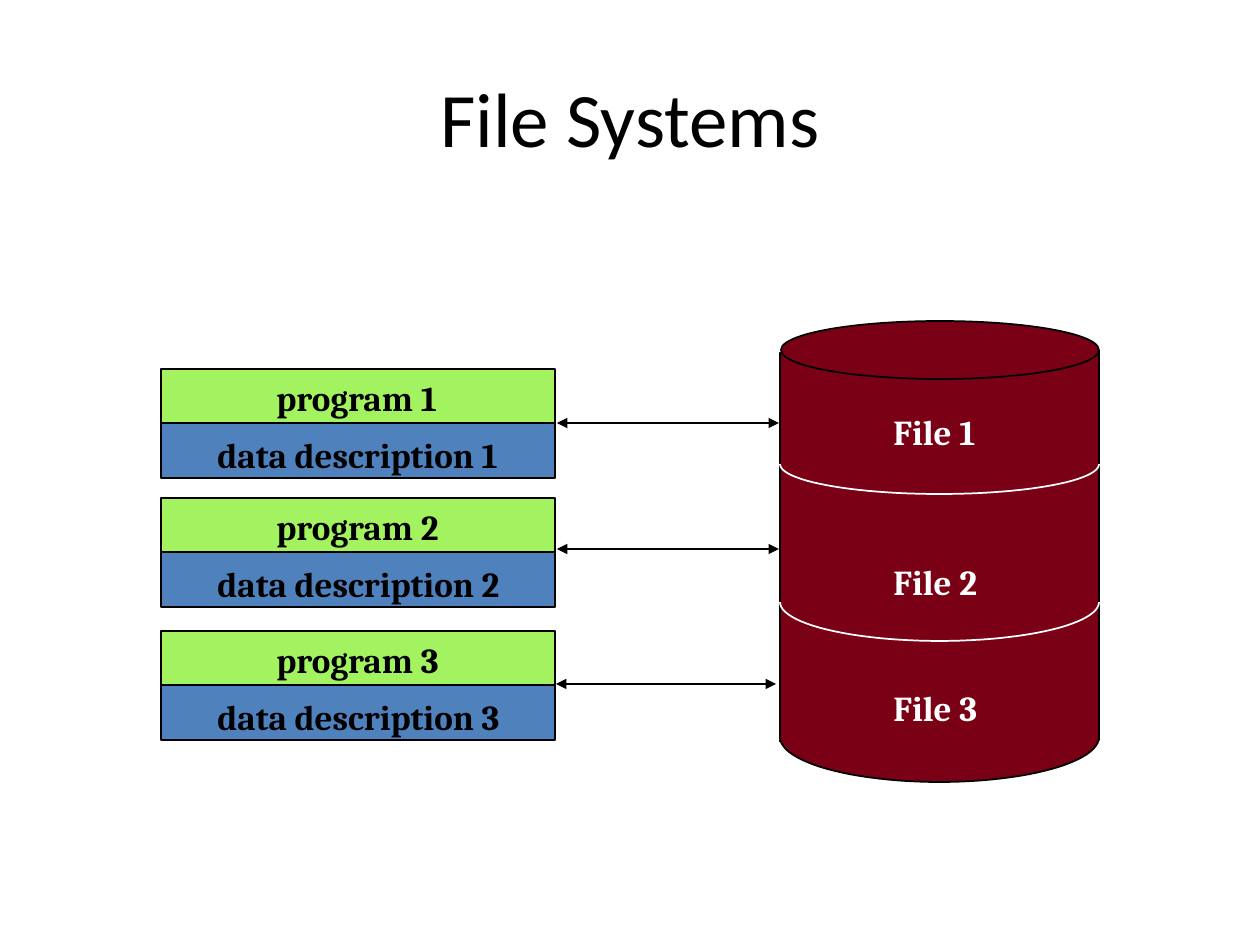
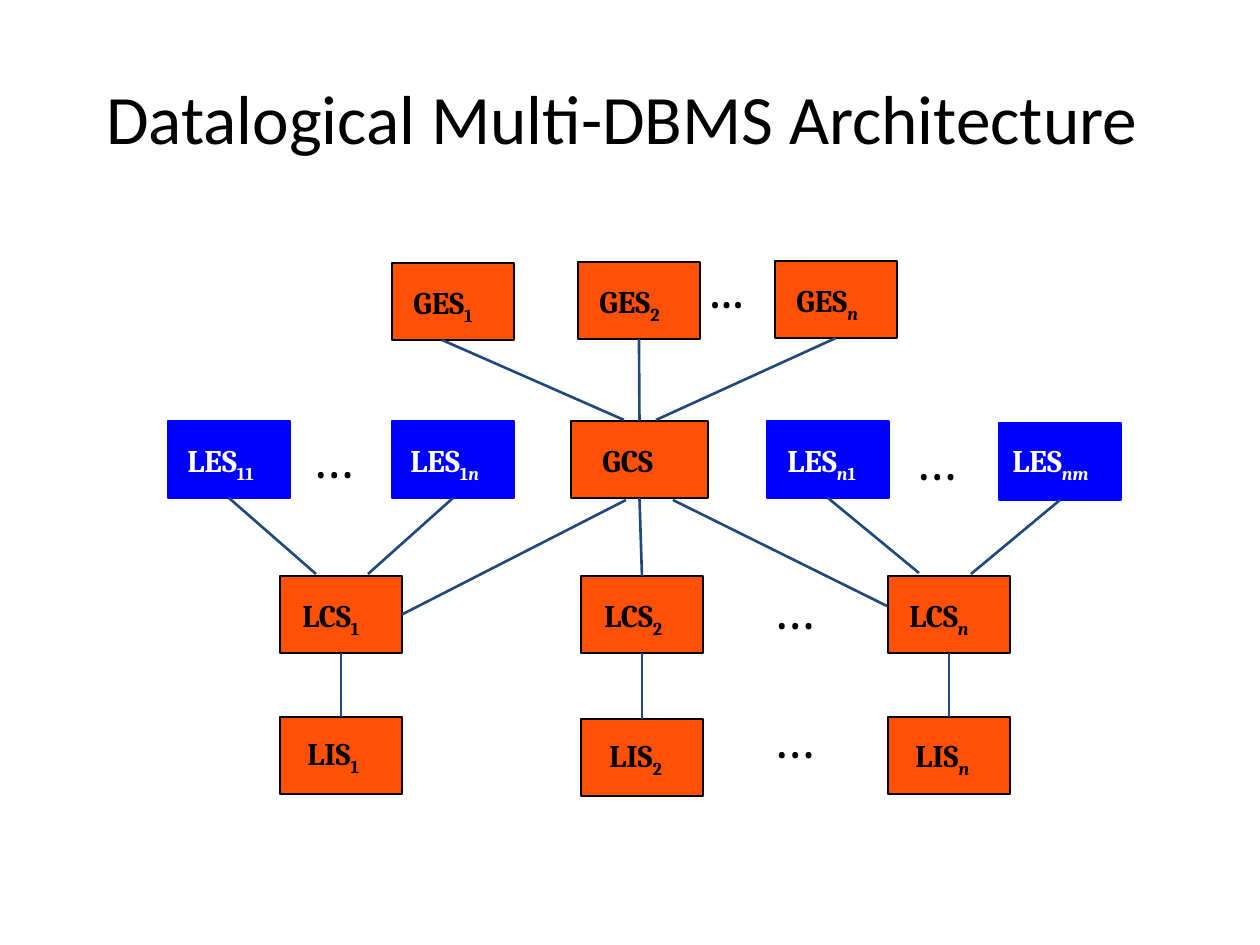
"""Build two slides on file systems and multi-database schemas."""
import itertools
import math

import lxml.etree
import pptx
import pptx.dml.color
import pptx.enum.shapes
import pptx.enum.text
import pptx.oxml.ns
import pptx.util

SCALE = 914400 / 126
HUES = {"ink": "000000", "paper": "FFFFFF", "lime": "A3F25F", "steel": "4F81BD",
        "wine": "790015", "flame": "FF5008", "blue": "0000FF", "navy": "1F497D"}
HEAD = {"size": 44, "name": "Calibri"}
BOLD = {"size": 20, "name": "Cambria", "bold": True}
TAG = {**BOLD, "size": 18}
DOTS = {"size": 32, "name": "Cambria"}
TITLE = (63, 38, 1134, 157)

PAIRS = [("program 1", "data description 1", 369),
         ("program 2", "data description 2", 498),
         ("program 3", "data description 3", 631)]
PARTS = [("lime", 0, 103, -3, 189, 58, 1.1), ("steel", 54, 44, 4, 311, 54, None)]
PAIR = {"left": 161, "wide": 394, "high": 55}
ARROWS = [(557, 779, 423), (557, 779, 549), (556, 776, 684)]
DRUM = {"left": 780, "right": 1099, "top": 353, "base": 740}
LID = (781, 321, 318, 58)
SIDES = [(1099, 350, 740), (780, 353, 742)]
RIMS = [(737, 45, "ink"), (464, 30, "paper"), (602, 39, "paper")]
FILES = [("File 1", 404), ("File 2", 554), ("File 3", 680)]

NODES = [("GES", "1", 392, 263, 9, 14, 103), ("GES", "2", 578, 262, 9, 14, 103),
         ("GES", "n", 775, 261, 9, 14, 106), ("GCS", "", 571, 421, 19, 14, 95),
         ("LES", "11", 168, 421, 7, 14, 105), ("LES", "1n", 392, 421, 6, 14, 110),
         ("LES", "n1", 767, 421, 8, 14, 107), ("LES", "nm", 999, 423, 1, 12, 118),
         ("LCS", "1", 280, 576, 10, 14, 101), ("LCS", "2", 581, 576, 11, 14, 101),
         ("LCS", "n", 888, 576, 9, 14, 102), ("LIS", "1", 280, 717, 15, 11, 89),
         ("LIS", "2", 581, 719, 16, 11, 89), ("LIS", "n", 888, 717, 15, 13, 92)]
WIDE, HIGH = 122, 77
LINKS = [((442, 340), (624, 420)), (("GES2", 2), ("GCS", 0)),
         (("GESn", 2), (656, 420)), ((626, 500), ("LCS1", 3)),
         ((673, 500), (887, 606)), (("GCS", 2), ("LCS2", 0)),
         (("LCS1", 2), ("LIS1", 0)), (("LCS2", 2), ("LIS2", 0)),
         (("LCSn", 2), ("LISn", 0)), (("LES11", 2), (316, 574)),
         (("LESn1", 2), (919, 573)), (("LES1n", 2), (368, 574)),
         (("LESnm", 2), (971, 574))]
GAPS = [("...", 697, 246, 68), ("…", 299, 416, 82), ("…", 902, 418, 82),
        ("…", 760, 567, 82), ("…", 760, 696, 82)]


def px(*nums):
    """Turn px into EMU."""
    return [pptx.util.Emu(round(num * SCALE)) for num in nums]


def hue(name):
    """Look up a colour."""
    return pptx.dml.color.RGBColor.from_string(HUES[name])


def put(item, vals):
    """Set each value on the item."""
    for key, val in vals.items():
        setattr(item, key, val)


def style(run, look, shade="ink"):
    """Format one run."""
    put(run.font, {**look, "size": pptx.util.Pt(look["size"])})
    run.font.color.rgb = hue(shade)


def stroke(line, shade, width=1):
    """Colour and size a line."""
    line.color.rgb = hue(shade)
    line.width = pptx.util.Pt(width)


def paint(shape, fill, edge="ink"):
    """Fill and outline a shape."""
    shape.shadow.inherit = False
    shape.fill.solid()
    shape.fill.fore_color.rgb = hue(fill)
    stroke(shape.line, edge)
    return shape


def block(slide, area, fill, edge="ink", kind="RECTANGLE"):
    """Add a preset shape."""
    kind = getattr(pptx.enum.shapes.MSO_SHAPE, kind)
    return paint(slide.shapes.add_shape(kind, *px(*area)), fill, edge)


def label(slide, area, text, look, shade="ink", sub="", space=None):
    """Add a text box with an optional subscript."""
    frame = slide.shapes.add_textbox(*px(*area)).text_frame
    put(frame, {"word_wrap": False,
                "auto_size": pptx.enum.text.MSO_AUTO_SIZE.SHAPE_TO_FIT_TEXT})
    para = frame.paragraphs[0]
    para.line_spacing = space
    run = para.add_run()
    run.text = text
    style(run, look, shade)
    for slant, chars in itertools.groupby(sub, str.isalpha):
        run = para.add_run()
        run.text = "".join(chars)
        style(run, {**look, "italic": slant}, shade)
        run.font._element.set("baseline", "-25000")


def wire(slide, start, end, shade="ink", width=1, heads=()):
    """Add a straight connector."""
    kind = pptx.enum.shapes.MSO_CONNECTOR.STRAIGHT
    line = slide.shapes.add_connector(kind, *px(*start, *end))
    stroke(line.line, shade, width)
    props, name = line._element.spPr, pptx.oxml.ns.qn
    for head in heads:
        lxml.etree.SubElement(props.find(name("a:ln")), name(head), type="triangle")
    lxml.etree.SubElement(props, name("a:effectLst"))
    return line


def rim(slide, mid, deep, edge):
    """Add the lower half of an ellipse across the drum."""
    half = (DRUM["right"] - DRUM["left"]) / 2
    turns = [math.pi * step / 48 for step in range(49)]
    dots = [px(DRUM["left"] + half * (1 + math.cos(turn)), mid + deep * math.sin(turn))
            for turn in turns]
    form = slide.shapes.build_freeform(*dots[0])
    form.add_line_segments(dots[1:], close=False)
    paint(form.convert_to_shape(), "wine", edge)


def begin(deck, text, size):
    """Add a slide with its title."""
    slide = deck.slides.add_slide(deck.slide_layouts[5])
    title = slide.shapes.title
    put(title, dict(zip(("left", "top", "width", "height"), px(*TITLE))))
    title.text = text
    put(title.text_frame, {"auto_size": pptx.enum.text.MSO_AUTO_SIZE.NONE,
                           "vertical_anchor": pptx.enum.text.MSO_ANCHOR.MIDDLE})
    para = title.text_frame.paragraphs[0]
    para.alignment = pptx.enum.text.PP_ALIGN.CENTER
    style(para.runs[0], {**HEAD, "size": size})
    return slide


def files(deck):
    """Draw programs linked to the file drum."""
    slide = begin(deck, "File Systems", 44)
    for left, right, top in ARROWS:
        wire(slide, (left, top), (right, top), "ink", 1.5, ("a:headEnd", "a:tailEnd"))
    for *names, top in PAIRS:
        for name, (fill, down, dx, dy, wide, high, space) in zip(names, PARTS):
            left, edge = PAIR["left"], top + down
            block(slide, (left, edge, PAIR["wide"], PAIR["high"]), fill)
            label(slide, (left + dx, edge + dy, wide, high), name, BOLD, space=space)
    block(slide, (DRUM["left"], DRUM["top"], DRUM["right"] - DRUM["left"],
                  DRUM["base"] - DRUM["top"]), "wine")
    block(slide, LID, "wine", kind="OVAL")
    for left, top, base in SIDES:
        wire(slide, (left, top), (left, base))
    for mid, deep, edge in RIMS:
        rim(slide, mid, deep, edge)
    for name, top in FILES:
        label(slide, (881, top, 112, 54), name, BOLD, "paper")


def schemas(deck):
    """Draw the schema boxes and their links."""
    slide = begin(deck, "Datalogical Multi-DBMS Architecture ", 39.6)
    boxes = {}
    for name, sub, left, top, dx, dy, wide in NODES:
        local = name == "LES"
        fill, edge, shade = ("blue", "blue", "paper") if local else ("flame", "ink", "ink")
        area = (left, top, 137 if name == "GCS" else WIDE, HIGH)
        boxes[name + sub] = block(slide, area, fill, edge)
        label(slide, (left + dx, top + dy, wide, 52), name, TAG, shade, sub)
    for ends in LINKS:
        spots = [(0, 0) if end[0] in boxes else end for end in ends]
        line = wire(slide, *spots, "navy", 1.5)
        for end, join in zip(ends, (line.begin_connect, line.end_connect)):
            if end[0] in boxes:
                join(boxes[end[0]], end[1])
    for text, left, top, wide in GAPS:
        label(slide, (left, top, wide, 81), text, DOTS)


def main():
    """Build and save the deck."""
    deck = pptx.Presentation()
    put(deck, dict(zip(("slide_width", "slide_height"), px(1260, 945))))
    files(deck)
    schemas(deck)
    deck.save("out.pptx")


if __name__ == "__main__":
    main()
